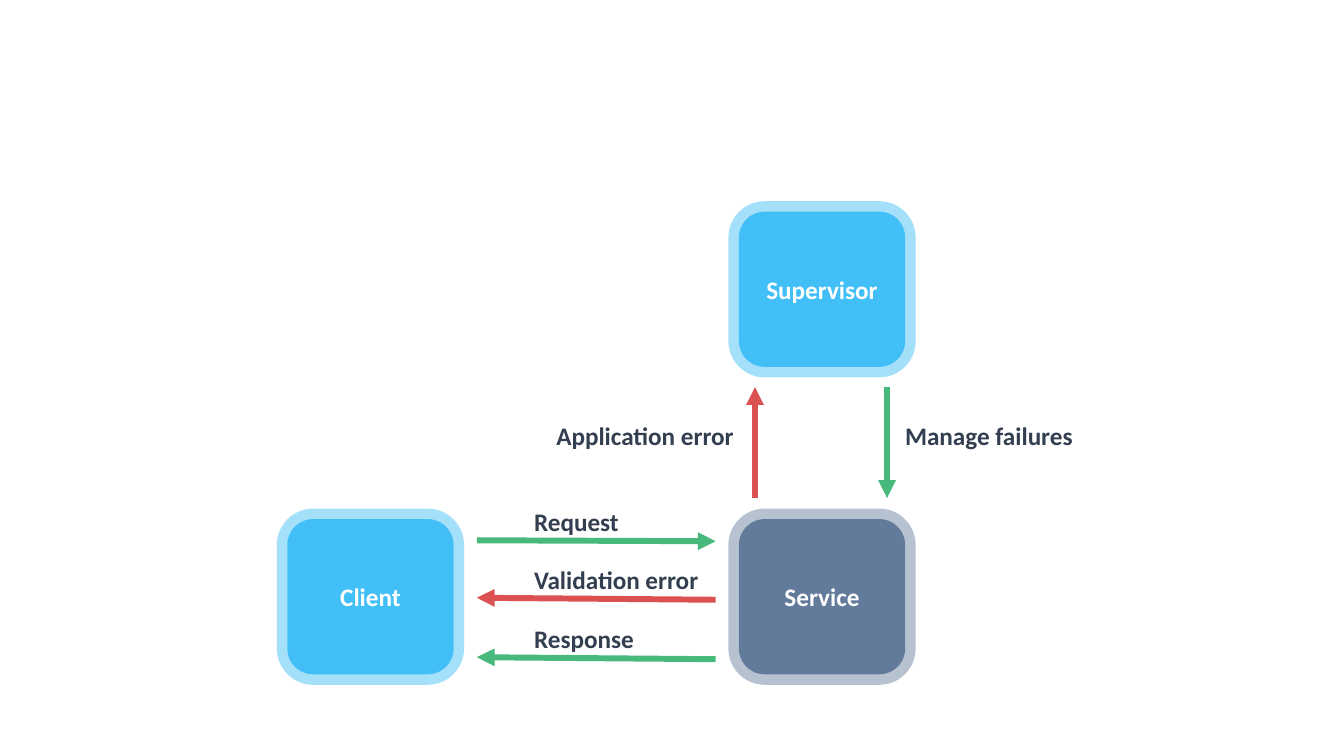
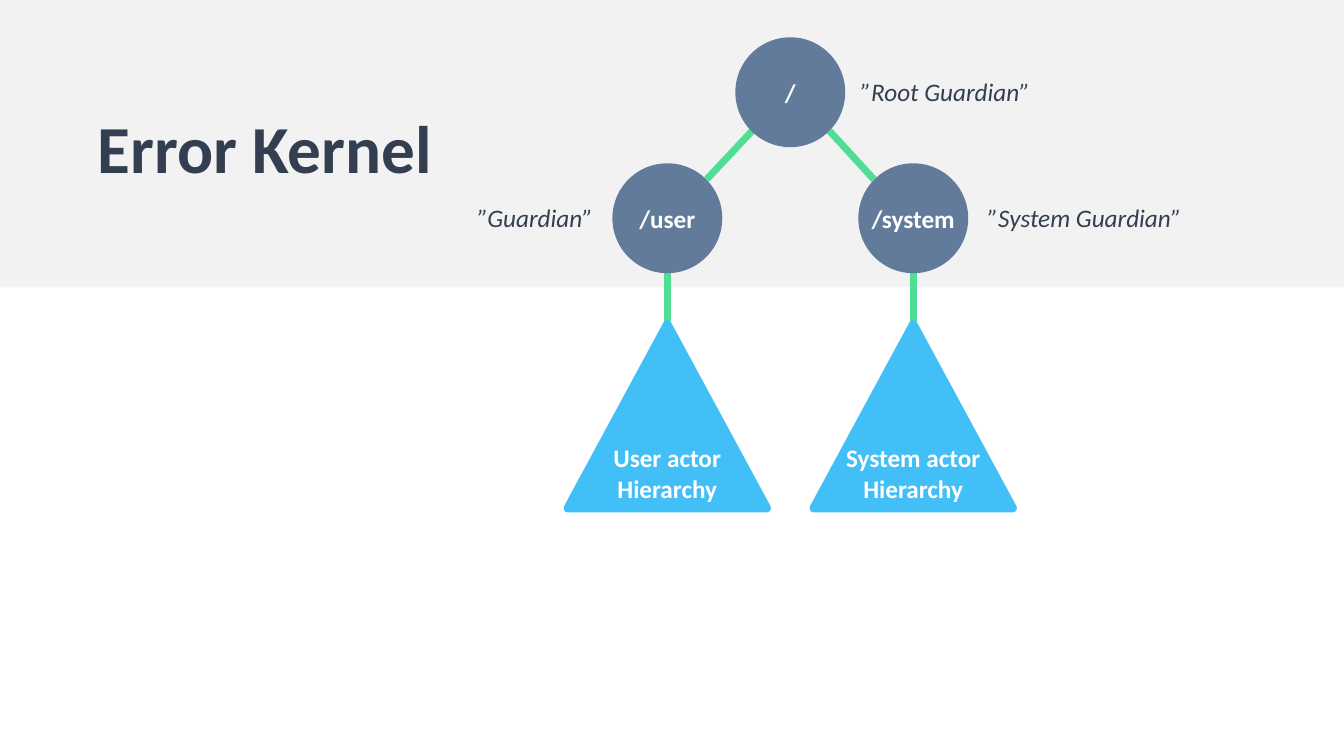
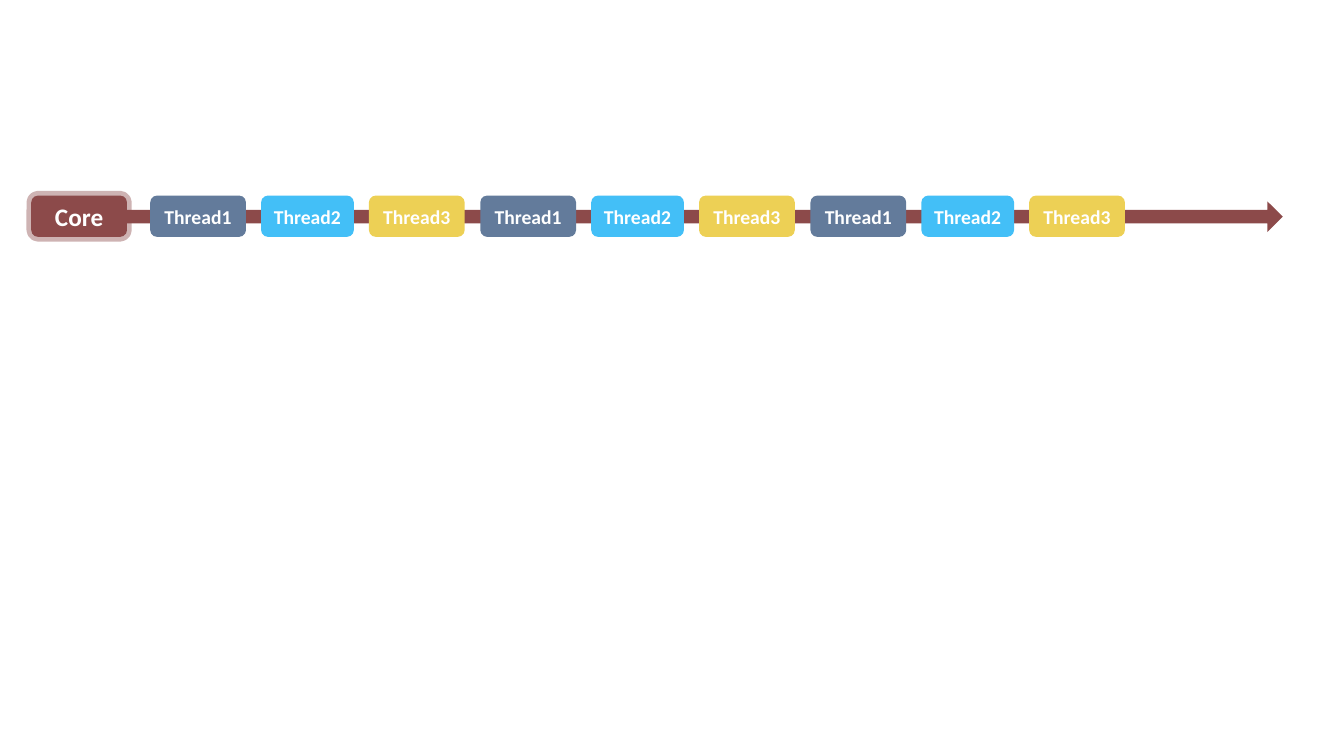
import dataclasses
import typing

import pptx
import pptx.dml.color
import pptx.enum.shapes
import pptx.enum.text
import pptx.oxml
import pptx.oxml.ns
import pptx.util

SHAPE = pptx.enum.shapes.MSO_SHAPE
ANCHOR = pptx.enum.text.MSO_ANCHOR
ALIGN = pptx.enum.text.PP_ALIGN


# Theme and grid
@dataclasses.dataclass(frozen=True)
class Theme:
    font: str = "Calibri"
    white: str = "FFFFFF"
    ink: str = "333F50"
    slate: str = "637B9B"
    sky: str = "43BFF7"
    yellow: str = "EDD055"
    maroon: str = "8C4A4A"
    band: str = "F2F2F2"
    success: str = "47B97D"
    failure: str = "DB5151"
    branch: str = "50DE94"
    title_size: int = 48
    body_size: int = 18
    small_size: int = 14


THEME = Theme()
COLUMNS, ROWS = 133.33, 75  # square grid cells, a tenth of an inch each


def cells(count: float) -> int:
    return pptx.util.Inches(count / 10)


# Descriptions of repeated elements; places and sizes are in grid cells
@dataclasses.dataclass(frozen=True)
class Outline:
    color: str
    points: float
    opacity: int = 100
    mitred: bool = False


@dataclasses.dataclass(frozen=True)
class Node:
    left: float
    top: float
    width: float
    height: float
    fill: typing.Optional[str]
    text: str = ""
    kind: typing.Any = SHAPE.ROUNDED_RECTANGLE
    outline: typing.Optional[Outline] = None
    size: int = THEME.body_size
    anchor: typing.Any = ANCHOR.MIDDLE


@dataclasses.dataclass(frozen=True)
class Label:
    text: str
    left: float
    top: float
    width: float
    height: float = 4
    size: int = THEME.body_size
    bold: bool = True
    italic: bool = False


@dataclasses.dataclass(frozen=True)
class Link:
    start: tuple[float, float]
    end: tuple[float, float]
    color: str
    points: float = 4.25
    arrow: bool = True


# Drawing functions
def rgb(color: str) -> pptx.dml.color.RGBColor:
    return pptx.dml.color.RGBColor.from_string(color)


def add_xml(parent: typing.Any, tag: str, **attributes: str) -> None:
    element = pptx.oxml.parse_xml(f"<a:{tag} {pptx.oxml.ns.nsdecls('a')}/>")
    for name, value in attributes.items():
        element.set(name, value)
    parent.append(element)


def set_line(shape: typing.Any, outline: Outline) -> typing.Any:
    shape.line.color.rgb = rgb(outline.color)
    shape.line.width = pptx.util.Pt(outline.points)
    line = shape.element.spPr.find(pptx.oxml.ns.qn("a:ln"))
    if outline.opacity < 100:
        color = line.find(".//" + pptx.oxml.ns.qn("a:srgbClr"))
        add_xml(color, "alpha", val=str(outline.opacity * 1000))
    if outline.mitred:
        add_xml(line, "miter", lim="800000")
    return line


def set_text(text_frame: typing.Any, text: str, size: int, color: str,
             align: typing.Any, bold: bool = True, italic: bool = False) -> None:
    text_frame.text = text
    for paragraph in text_frame.paragraphs:
        paragraph.alignment = align
        for run in paragraph.runs:
            run.font.name = THEME.font
            run.font.size = pptx.util.Pt(size)
            run.font.bold = bold
            run.font.italic = italic
            run.font.color.rgb = rgb(color)


def draw_node(slide: typing.Any, node: Node) -> typing.Any:
    shape = slide.shapes.add_shape(
        node.kind, cells(node.left), cells(node.top),
        cells(node.width), cells(node.height))
    shape.shadow.inherit = False
    if node.fill:
        shape.fill.solid()
        shape.fill.fore_color.rgb = rgb(node.fill)
    else:
        shape.fill.background()
    if node.outline:
        set_line(shape, node.outline)
    else:
        shape.line.fill.background()
    if node.text:
        shape.text_frame.word_wrap = False
        shape.text_frame.vertical_anchor = node.anchor
        set_text(shape.text_frame, node.text, node.size, THEME.white, ALIGN.CENTER)
    return shape


def draw_label(slide: typing.Any, label: Label) -> None:
    text_box = slide.shapes.add_textbox(
        cells(label.left), cells(label.top), cells(label.width), cells(label.height))
    text_frame = text_box.text_frame
    text_frame.word_wrap = False
    text_frame.auto_size = pptx.enum.text.MSO_AUTO_SIZE.SHAPE_TO_FIT_TEXT
    set_text(text_frame, label.text, label.size, THEME.ink, ALIGN.LEFT,
             label.bold, label.italic)


def draw_link(slide: typing.Any, link: Link) -> None:
    connector = slide.shapes.add_connector(
        pptx.enum.shapes.MSO_CONNECTOR.STRAIGHT,
        *(cells(value) for value in link.start + link.end))
    line = set_line(connector, Outline(link.color, link.points))
    if link.arrow:
        add_xml(line, "tailEnd", type="triangle")
    add_xml(connector.element.spPr, "effectLst")


# Slide 1: messages between client, service and supervisor
def build_messages(slide: typing.Any) -> None:
    client_left, service_left = 28.5, 73.3
    for text, left, top, color, opacity in (
            ("Service", service_left, 51.5, THEME.slate, 46),
            ("Supervisor", service_left, 21, THEME.sky, 48),
            ("Client", client_left, 51.5, THEME.sky, 48)):
        draw_node(slide, Node(left, top, 16.5, 15.4, color, text,
                              outline=Outline(color, 15, opacity)))

    near_client, near_service = 47.3, 71
    near_supervisor, above_service = 38.4, 49.4
    for link in (
            Link((near_client, 53.6), (near_service, 53.7), THEME.success),
            Link((near_service, 59.5), (near_client, 59.3), THEME.failure),
            Link((near_service, 65.4), (near_client, 65.2), THEME.success),
            Link((74.9, above_service), (74.9, near_supervisor), THEME.failure),
            Link((88, near_supervisor), (88, above_service), THEME.success)):
        draw_link(slide, link)

    for row, (text, width) in enumerate((
            ("Request", 10.5), ("Validation error", 18.4), ("Response", 12))):
        draw_label(slide, Label(text, 52, 49.7 + 5.8 * row, width))
    draw_label(slide, Label("Application error", 54.2, 41.2, 19.8))
    draw_label(slide, Label("Manage failures", 88.8, 41.2, 18.8))


# Slide 2: guardian tree
def build_error_kernel(slide: typing.Any) -> None:
    band = draw_node(slide, Node(0, 0, COLUMNS, 28.5, THEME.band))
    band.adjustments[0] = 0

    user, root, system = 66.2, 78.4, 90.6  # centre columns
    diameter, base = 10.9, 19.7
    branch_top, branch_bottom, circle_bottom, triangle_top = 13, 17.8, 27.1, 32.2
    for start, end in (
            ((user, circle_bottom), (user, triangle_top)),
            ((system, circle_bottom), (system, triangle_top)),
            ((74.6, branch_top), (70.1, branch_bottom)),
            ((82.3, branch_top), (86.7, branch_bottom))):
        draw_link(slide, Link(start, end, THEME.branch, 5, arrow=False))

    for text, center, top in (
            ("/user", user, 16.2), ("/system", system, 16.2), ("/", root, 3.7)):
        draw_node(slide, Node(center - diameter / 2, top, diameter, diameter,
                              THEME.slate, text, SHAPE.OVAL))

    for owner, center in (("User", user), ("System", system)):
        draw_node(slide, Node(
            center - base / 2, triangle_top, base, 18.2, THEME.sky,
            f"{owner} actor\nHierarchy", SHAPE.ISOSCELES_TRIANGLE,
            Outline(THEME.sky, 6.25), anchor=ANCHOR.BOTTOM))

    draw_label(slide, Label("Error Kernel", 8.7, 10.1, 36.8, 9.1, THEME.title_size))
    for text, left, top, width in (
            ("”System Guardian”", 97, 19.6, 21.4),
            ("”Guardian”", 46.4, 19.6, 13.6),
            ("”Root Guardian”", 84.4, 7.1, 19)):
        draw_label(slide, Label(text, left, top, width, bold=False, italic=True))


# Slide 3: threads taking turns on one core
def build_thread_timeline(slide: typing.Any) -> None:
    top, height, width = 19.4, 4.1, 9.5
    draw_node(slide, Node(12.6, 21.1, 114, 0.8, None, kind=SHAPE.RIGHT_ARROW,
                          outline=Outline(THEME.maroon, 6.75, mitred=True)))
    cycle = 32.75
    threads = (("Thread1", 14.9, width, THEME.slate),
               ("Thread2", 25.9, 9.2, THEME.sky),
               ("Thread3", 36.6, width, THEME.yellow))
    for turn in range(3):
        for text, left, thread_width, color in threads:
            draw_node(slide, Node(left + cycle * turn, top, thread_width, height,
                                  color, text, size=THEME.small_size))
    draw_node(slide, Node(3.1, top, width, height, THEME.maroon, "Core",
                          outline=Outline(THEME.maroon, 6.75, 41)))


# Presentation
def main() -> None:
    presentation = pptx.Presentation()
    presentation.slide_width = cells(COLUMNS)
    presentation.slide_height = cells(ROWS)
    blank_layout = presentation.slide_layouts[6]
    for build in (build_messages, build_error_kernel, build_thread_timeline):
        build(presentation.slides.add_slide(blank_layout))
    presentation.save("out.pptx")


main()
